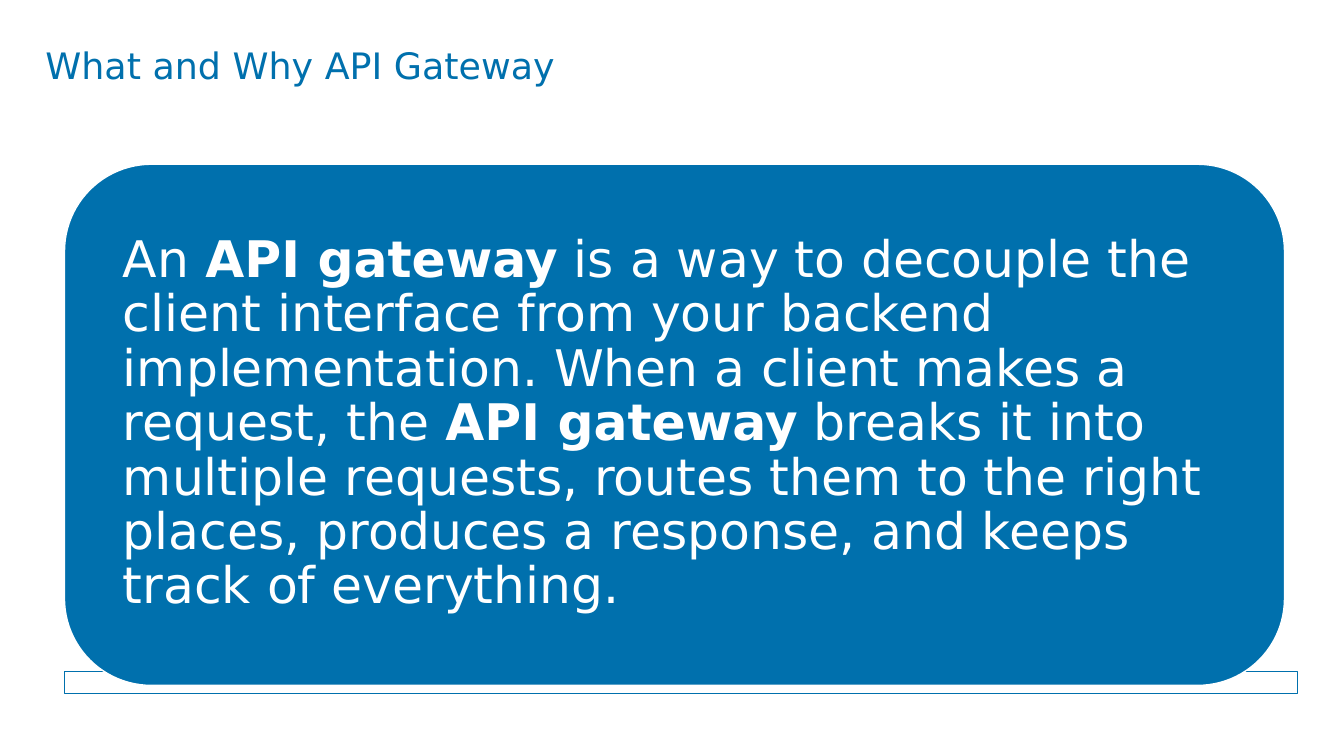
from lxml.etree import SubElement
from pptx import Presentation
from pptx.dml.color import RGBColor
from pptx.enum.shapes import MSO_SHAPE
from pptx.enum.text import MSO_ANCHOR, PP_ALIGN
from pptx.oxml.ns import qn
from pptx.util import Pt

BLUE = RGBColor(0x00, 0x70, 0xAD)
WHITE = RGBColor(0xFF, 0xFF, 0xFF)
FONT = "DejaVu Sans"
EMU_PER_PX = 9144  # 100 px to the inch


def px(length):
    return length * EMU_PER_PX


def write(box, spans, size, color, spacing, anchor=MSO_ANCHOR.TOP, side=0):
    """Fill a box with one paragraph of (text, bold) spans."""
    frame = box.text_frame
    frame.word_wrap = True
    frame.vertical_anchor = anchor
    frame.margin_left = frame.margin_right = px(side)
    frame.margin_top = frame.margin_bottom = 0
    para = frame.paragraphs[0]
    para.alignment = PP_ALIGN.LEFT
    para.line_spacing = spacing
    for text, bold in spans:
        span = para.add_run()
        span.text = text
        span.font.name = FONT
        span.font.size = Pt(size)
        span.font.bold = bold
        span.font.color.rgb = color


class SlideBuilder:
    def __init__(self, deck):
        self.page = deck.slides.add_slide(deck.slide_layouts[6])

    def text(self, left, top, width, height, spans, **style):
        box = self.page.shapes.add_textbox(px(left), px(top), px(width), px(height))
        write(box, spans, **style)

    def panel(self, kind, left, top, width, height, fill, line, opacity=100):
        shape = self.page.shapes.add_shape(kind, px(left), px(top), px(width), px(height))
        shape.shadow.inherit = False
        shape.fill.solid()
        shape.fill.fore_color.rgb = fill
        shape.line.color.rgb = line
        shape.line.width = Pt(1)
        if opacity < 100:
            color = shape.fill._xPr.find(qn("a:solidFill"))[0]
            SubElement(color, qn("a:alpha")).set("val", str(opacity * 1000))


def main():
    deck = Presentation()
    deck.slide_width, deck.slide_height = px(1333), px(750)
    slide = SlideBuilder(deck)

    # Title
    slide.text(45, 44, 1205, 71, [("What and Why API Gateway", False)],
               size=26, color=BLUE, spacing=Pt(30))

    # Base strip and rounded card
    slide.panel(MSO_SHAPE.RECTANGLE, 64, 666, 1223, 22, WHITE, BLUE, opacity=90)
    slide.panel(MSO_SHAPE.ROUNDED_RECTANGLE, 64, 163, 1210, 517, BLUE, WHITE)

    # Definition
    definition = [
        ("An ", False),
        ("API gateway", True),
        (" is a way to decouple the client interface from your backend "
         "implementation. When a client makes a request, the ", False),
        ("API gateway", True),
        (" breaks it into multiple requests, routes them to the right places, "
         "produces a response, and keeps track of everything.", False),
    ]
    slide.text(90, 188, 1160, 466, definition, size=36, color=WHITE,
               spacing=0.9, anchor=MSO_ANCHOR.MIDDLE, side=32)

    deck.save("out.pptx")


if __name__ == "__main__":
    main()
